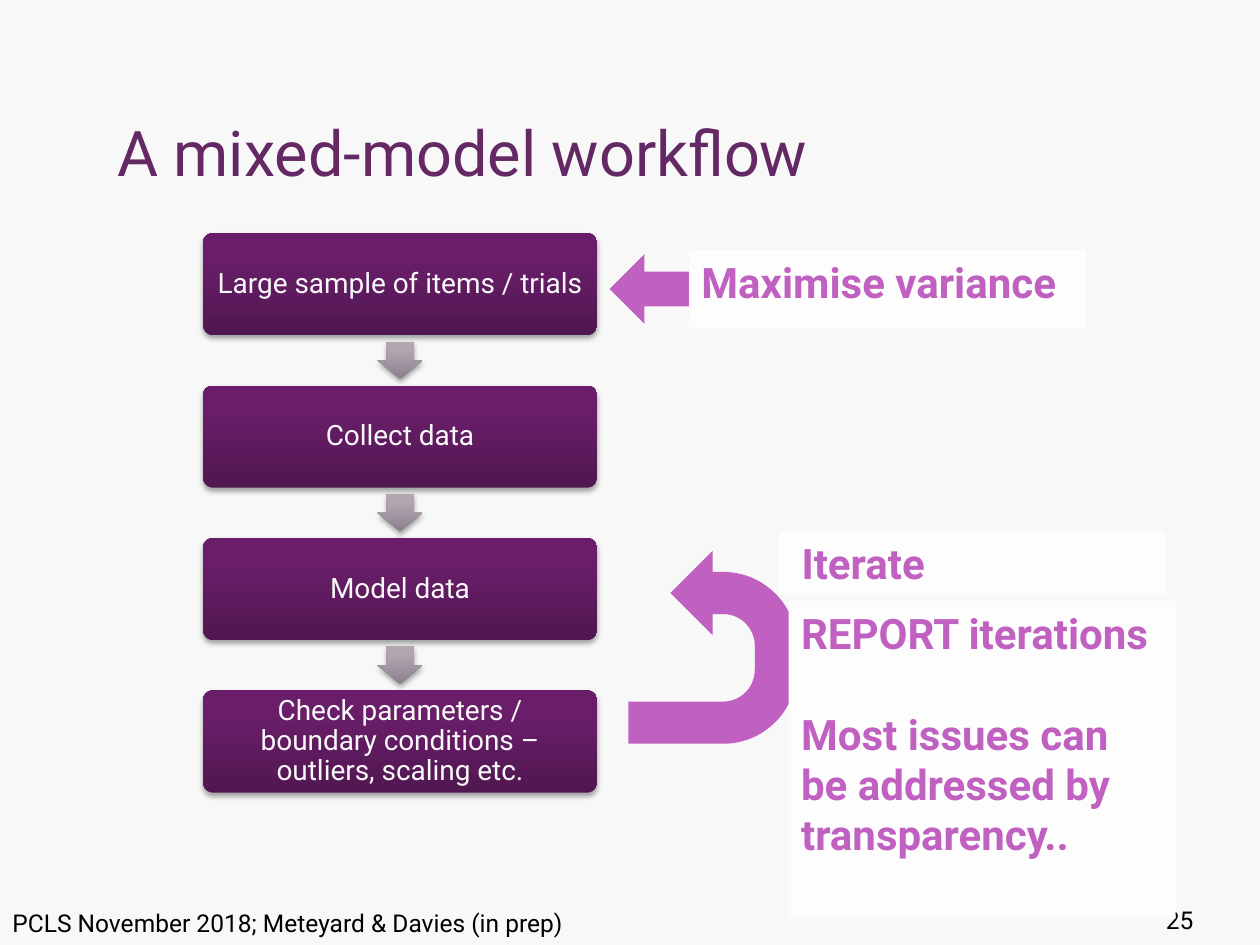
from copy import deepcopy

from lxml import etree
from pptx import Presentation
from pptx.dml.color import RGBColor
from pptx.enum.shapes import MSO_SHAPE
from pptx.enum.text import MSO_ANCHOR, PP_ALIGN
from pptx.oxml.ns import qn
from pptx.util import Cm, Pt

ROUNDED = MSO_SHAPE.ROUNDED_RECTANGLE
RECTANGLE = MSO_SHAPE.RECTANGLE
DOWN_ARROW = MSO_SHAPE.DOWN_ARROW
LEFT_ARROW = MSO_SHAPE.LEFT_ARROW
U_TURN = MSO_SHAPE.U_TURN_ARROW
TOP, MIDDLE, BOTTOM = MSO_ANCHOR.TOP, MSO_ANCHOR.MIDDLE, MSO_ANCHOR.BOTTOM
LEFT, CENTER, RIGHT = PP_ALIGN.LEFT, PP_ALIGN.CENTER, PP_ALIGN.RIGHT

COLORS = {
    "background": "F8F8F8",
    "title": "642864",
    "footer": "000000",
    "note": "FDFDFD",
    "accent": "C060C0",
    "shadow": "000000",
}
STEP_GRADIENT = [(0, "511751"), (0.8, "6A1E6A"), (1, "6C1D6C")]
ARROW_GRADIENT = [(0, "8A808A"), (0.8, "B3A6B3"), (1, "B5A6B5")]

TITLE_FORMAT = {"size": Pt(36), "color": "title"}
FOOTER_FORMAT = {"size": Pt(14), "color": "footer"}
STEP_FORMAT = {"size": Pt(16), "color": "background"}
NOTE_FORMAT = {"size": Pt(24), "bold": True, "color": "accent"}

STEPS = [
    "Large sample of items / trials",
    "Collect data",
    "Model data",
    "Check parameters / boundary conditions – outliers, scaling etc.",
]


def rgb(name):
    return RGBColor.from_string(COLORS[name])


def write(shape, lines, text_format, align=LEFT, anchor=TOP, wrap=True,
          paragraph_format=None, **margins):
    frame = shape.text_frame
    frame.word_wrap = wrap
    frame.vertical_anchor = anchor
    for name, value in margins.items():
        setattr(frame, name, value)
    for index, line in enumerate(lines):
        paragraph = frame.paragraphs[0] if index == 0 else frame.add_paragraph()
        paragraph.alignment = align
        for name, value in (paragraph_format or {}).items():
            if index or name != "space_before":
                setattr(paragraph, name, value)
        run = paragraph.add_run()
        run.text = line
        run.font.name = "Roboto"
        for name, value in text_format.items():
            if name == "color":
                run.font.color.rgb = rgb(value)
            else:
                setattr(run.font, name, value)


def add_text(slide, box, text, text_format, **options):
    write(slide.shapes.add_textbox(*map(Cm, box)), [text], text_format, **options)


def add_plain_shape(slide, kind, box, color=None):
    """Add a shape without line or shadow, filled when a color is named."""
    shape = slide.shapes.add_shape(kind, *map(Cm, box))
    shape.shadow.inherit = False
    shape.line.fill.background()
    if color:
        shape.fill.solid()
        shape.fill.fore_color.rgb = rgb(color)
    return shape


def add_raised_shape(slide, kind, box, gradient):
    """Add a shape with a gradient rising from its base and a soft shadow."""
    shape = add_plain_shape(slide, kind, box)
    shape.fill.gradient()
    shape.fill.gradient_angle = 90
    properties = shape._element.spPr
    stop_list = properties.find(".//" + qn("a:gsLst"))
    stop_list.append(deepcopy(stop_list[-1]))
    for stop, (position, color) in zip(shape.fill.gradient_stops, gradient):
        stop.position = position
        stop.color.rgb = RGBColor.from_string(color)

    shadow = etree.SubElement(
        properties.find(qn("a:effectLst")), qn("a:outerShdw"),
        blurRad=str(Pt(3.1)), dist=str(Pt(1.8)), dir="5400000", rotWithShape="0")
    color = etree.SubElement(shadow, qn("a:srgbClr"), val=COLORS["shadow"])
    etree.SubElement(color, qn("a:alpha"), val="35000")
    return shape


def add_workflow(slide, box, steps):
    left, top, width, height = box
    step_height = 2.06
    arrow_width, arrow_height = 0.91, 0.76
    pitch = (height - step_height) / (len(steps) - 1)
    gap = pitch - step_height
    for index, text in enumerate(steps):
        step_top = top + index * pitch
        if index:
            arrow = add_raised_shape(
                slide, DOWN_ARROW,
                (left + (width - arrow_width) / 2,
                 step_top - (gap + arrow_height) / 2, arrow_width, arrow_height),
                ARROW_GRADIENT)
            arrow.adjustments[0] = 0.6
        step = add_raised_shape(
            slide, ROUNDED, (left, step_top, width, step_height), STEP_GRADIENT)
        step.adjustments[0] = 0.1
        write(step, [text], STEP_FORMAT, CENTER, MIDDLE,
              paragraph_format={"line_spacing": 0.9},
              margin_left=Cm(0.23), margin_right=Cm(0.23))


def add_note(slide, box, lines, **options):
    write(add_plain_shape(slide, RECTANGLE, box, "note"), lines, NOTE_FORMAT, **options)


def add_variance_callout(slide, box):
    left, top, width, height = box
    arrow_width, arrow_height = 1.6, 1.4
    add_note(slide, (left + arrow_width, top, width - arrow_width, height),
             ["Maximise variance"])
    add_plain_shape(slide, LEFT_ARROW,
                    (left, top + (height - arrow_height) / 2, arrow_width, arrow_height),
                    "accent")


def add_iteration_callout(slide, box):
    left, top, width, height = box
    note_width, report_height = 7.8, 6.4
    report_left = left + width - note_width
    add_note(slide, (report_left - 0.2, top, note_width, 1.27), ["Iterate"],
             margin_left=Cm(0.46))
    loop = add_plain_shape(slide, U_TURN, (left, top + 0.63, 3.89, 3.4), "accent")
    loop.rotation = 270
    loop._element.spPr.find(qn("a:xfrm")).set("flipV", "1")
    add_note(slide, (report_left, top + height - report_height, note_width, report_height),
             ["REPORT iterations", "Most issues can be addressed by transparency.."],
             paragraph_format={"space_before": Pt(28.8)})


def main():
    presentation = Presentation()
    presentation.slide_width, presentation.slide_height = Cm(25.4), Cm(19.05)
    slide = presentation.slides.add_slide(presentation.slide_layouts[6])
    slide.background.fill.solid()
    slide.background.fill.fore_color.rgb = rgb("background")

    add_text(slide, (0, 18.19, 17.6, 1.32),
             "PCLS November 2018; Meteyard & Davies (in prep)", FOOTER_FORMAT)
    add_text(slide, (2.11, 0.76, 17.2, 3.18), "A mixed-model workflow",
             TITLE_FORMAT, anchor=BOTTOM, wrap=False)
    add_text(slide, (22.43, 18.11, 1.88, 1.32), "25", FOOTER_FORMAT, align=RIGHT)
    add_workflow(slide, (4.09, 4.7, 7.95, 11.28), STEPS)
    add_variance_callout(slide, (12.29, 5.05, 9.6, 1.55))
    add_iteration_callout(slide, (12.42, 10.72, 11.28, 7.8))
    presentation.save("out.pptx")


if __name__ == "__main__":
    main()
